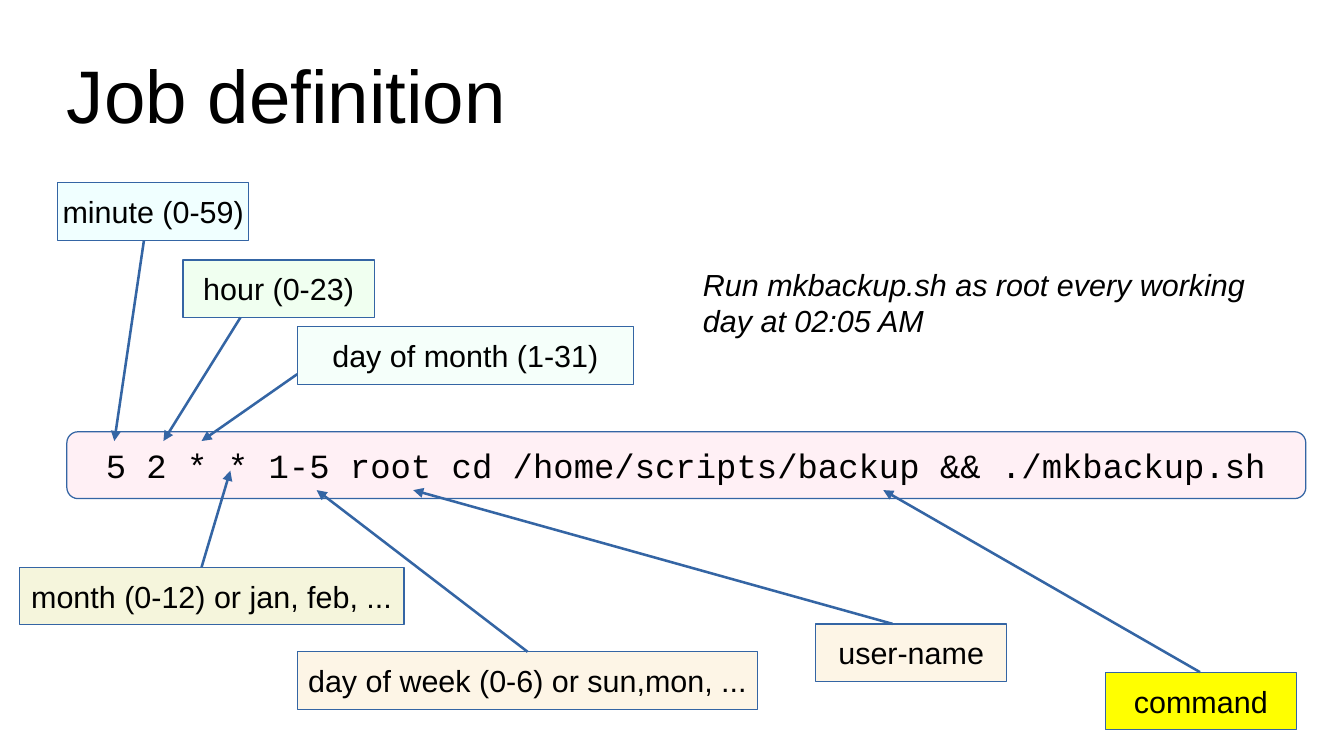
from typing import NamedTuple

from lxml import etree
from pptx import Presentation
from pptx.dml.color import RGBColor
from pptx.enum.shapes import MSO_CONNECTOR, MSO_SHAPE
from pptx.enum.text import MSO_ANCHOR, PP_ALIGN
from pptx.oxml.ns import qn
from pptx.util import Pt

RECTANGLE = MSO_SHAPE.RECTANGLE
ROUNDED = MSO_SHAPE.ROUNDED_RECTANGLE
STRAIGHT = MSO_CONNECTOR.STRAIGHT
MIDDLE = MSO_ANCHOR.MIDDLE
TOP = MSO_ANCHOR.TOP
CENTER = PP_ALIGN.CENTER
LEFT = PP_ALIGN.LEFT

BLACK = RGBColor(0x00, 0x00, 0x00)
BLUE = RGBColor(0x34, 0x65, 0xA4)
AZURE = RGBColor(0xF0, 0xFF, 0xFF)
HONEYDEW = RGBColor(0xF0, 0xFF, 0xF0)
MINT = RGBColor(0xF5, 0xFF, 0xFA)
BEIGE = RGBColor(0xF5, 0xF5, 0xDC)
OLD_LACE = RGBColor(0xFD, 0xF5, 0xE6)
YELLOW = RGBColor(0xFF, 0xFF, 0x00)
LAVENDER = RGBColor(0xFF, 0xF0, 0xF5)


class Box(NamedTuple):
    left: float
    top: float
    width: float
    height: float

    def lengths(self):
        return [Pt(value) for value in self]


LABEL_WIDTH, LABEL_HEIGHT = 113, 34
ENTRY_BOX = Box(39.5, 255, 731.5, 39.5)
ENTRY = "5 2 * * 1-5 root cd /home/scripts/backup && ./mkbackup.sh"

# Text, left, top, width, fill, arrow start within the label, arrow tip within the entry
FIELDS = [
    ("minute (0-59)", 34, 108, LABEL_WIDTH, AZURE, (51, LABEL_HEIGHT), (28, 5.5)),
    ("hour (0-23)", 108, 153.5, LABEL_WIDTH, HONEYDEW, (34, LABEL_HEIGHT), (57, 5.5)),
    ("day of month (1-31)", 175.5, 193, 198.5, MINT, (0, 28), (79.5, 5.5)),
    ("month (0-12) or jan, feb, ...", 11.5, 335, 227, BEIGE, (107.5, 0), (96.5, 23)),
    ("day of week (0-6) or sun,mon, ...", 175.5, 385, 272, OLD_LACE, (136, 0), (147.5, 34.5)),
    ("user-name", 481.5, 368.5, LABEL_WIDTH, OLD_LACE, (45.5, 0), (204.5, 34.5)),
    ("command", 652.5, 397, LABEL_WIDTH, YELLOW, (56, 0), (482, 34.5)),
]


def write_text(shape, text, size, font="Arial", alignment=LEFT, anchor=MIDDLE,
               wrap=True, italic=False):
    frame = shape.text_frame
    frame.word_wrap = wrap
    frame.vertical_anchor = anchor
    paragraph = frame.paragraphs[0]
    paragraph.text = text
    paragraph.alignment = alignment
    paragraph.font.name = font
    paragraph.font.size = Pt(size)
    paragraph.font.italic = italic
    paragraph.font.color.rgb = BLACK


def add_title(slide, box, text):
    shape = slide.shapes.add_textbox(*box.lengths())
    frame = shape.text_frame
    frame.margin_left = frame.margin_right = frame.margin_top = frame.margin_bottom = 0
    write_text(shape, text, 44)


def add_note(slide, box, text):
    shape = slide.shapes.add_textbox(*box.lengths())
    write_text(shape, text, 18, anchor=TOP, italic=True)


def add_panel(slide, box, text, fill, kind=RECTANGLE, size=18, font="Arial"):
    shape = slide.shapes.add_shape(kind, *box.lengths())
    shape.shadow.inherit = False
    shape.fill.solid()
    shape.fill.fore_color.rgb = fill
    shape.line.color.rgb = BLUE
    shape.line.width = Pt(0)
    write_text(shape, text, size, font, CENTER, wrap=False)


def add_arrow(slide, label_box, start, entry_box, tip):
    connector = slide.shapes.add_connector(
        STRAIGHT,
        Pt(label_box.left + start[0]), Pt(label_box.top + start[1]),
        Pt(entry_box.left + tip[0]), Pt(entry_box.top + tip[1]))
    connector.line.color.rgb = BLUE
    connector.line.width = Pt(1.5)
    etree.SubElement(connector.line._get_or_add_ln(), qn("a:tailEnd"), type="triangle")
    etree.SubElement(connector._element.spPr, qn("a:effectLst"))


def add_job_diagram(slide, entry_box):
    # Field labels
    label_boxes = []
    for text, left, top, width, fill, _, _ in FIELDS:
        label_box = Box(left, top, width, LABEL_HEIGHT)
        add_panel(slide, label_box, text, fill)
        label_boxes.append(label_box)

    # Crontab entry
    add_panel(slide, entry_box, ENTRY, LAVENDER, ROUNDED, 20, "Courier New")

    # Arrows from the labels to their fields
    for label_box, (*_, start, tip) in zip(label_boxes, FIELDS):
        add_arrow(slide, label_box, start, entry_box, tip)


def main():
    presentation = Presentation()
    presentation.slide_width = Pt(793.5)
    presentation.slide_height = Pt(446.5)
    slide = presentation.slides.add_slide(presentation.slide_layouts[6])
    add_title(slide, Box(39.5, 18, 714, 75), "Job definition")
    add_job_diagram(slide, ENTRY_BOX)
    add_note(slide, Box(408, 153.5, 345.5, 47.5),
             "Run mkbackup.sh as root every working day at 02:05 AM")
    presentation.save("out.pptx")


if __name__ == "__main__":
    main()
